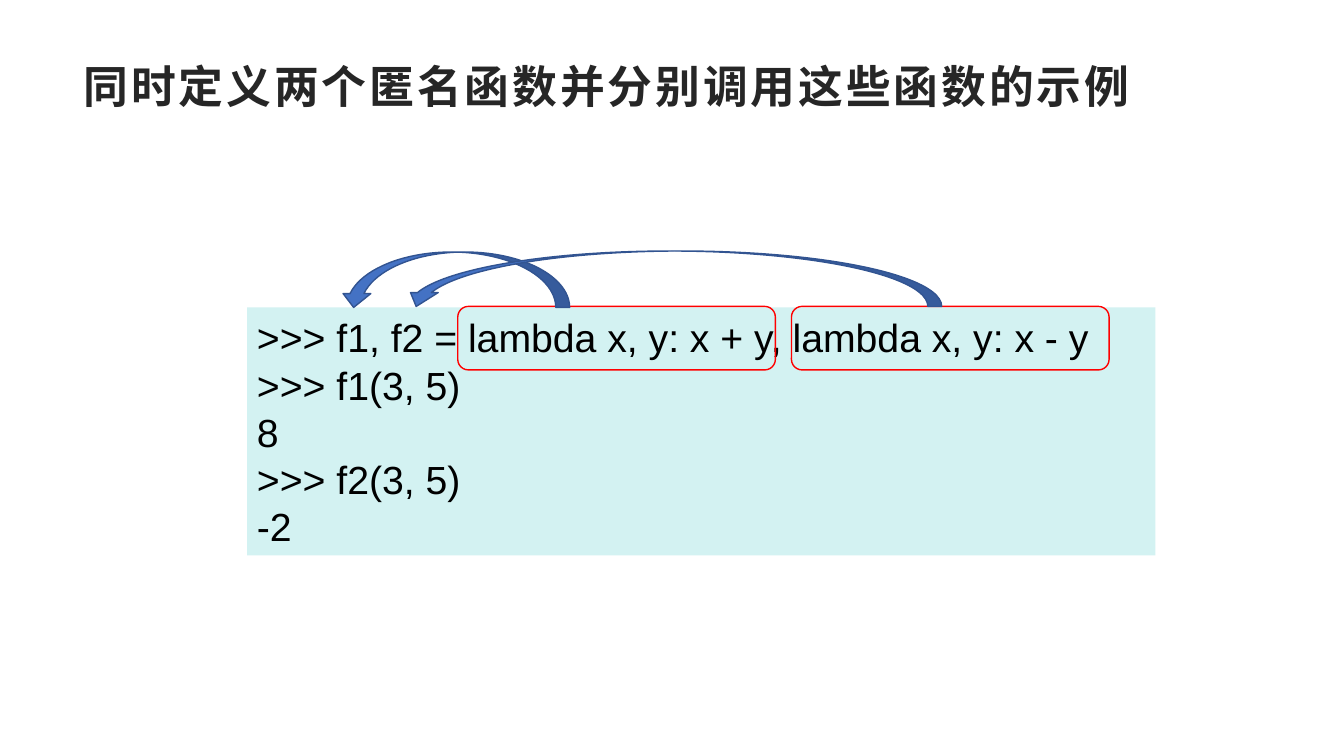
from pptx import Presentation
from pptx.dml.color import RGBColor
from pptx.enum.shapes import MSO_SHAPE
from pptx.enum.text import MSO_ANCHOR, MSO_AUTO_SIZE, PP_ALIGN
from pptx.util import Inches, Pt

TITLE = "同时定义两个匿名函数并分别调用这些函数的示例"
CODE = [
    ">>> f1, f2 = lambda x, y: x + y, lambda x, y: x - y",
    ">>> f1(3, 5)",
    "8",
    ">>> f2(3, 5)",
    "-2",
]
COLORS = {"title": "262626", "code": "000000", "panel": "D3F2F2",
          "frame": "FF0000", "arrow": "4472C4", "arrow_line": "325491"}
# One entry per lambda: left of its frame, then the box of its arrow
LAMBDAS = [
    (4.54, (3.37, 2.5, 2.28, 0.55)),
    (7.85, (3.99, 2.49, 5.35, 0.55)),
]
FRAME_TOP, FRAME_W, FRAME_H = 3.04, 3.15, 0.63


def rgb(name):
    return RGBColor.from_string(COLORS[name])


def add_box(s, kind, box, fill=None, line=None):
    sp = s.shapes.add_shape(kind, *map(Inches, box))
    sp.shadow.inherit = False
    if fill:
        sp.fill.solid()
        sp.fill.fore_color.rgb = rgb(fill)
    else:
        sp.fill.background()
    if line:
        sp.line.color.rgb = rgb(line)
        sp.line.width = Pt(1)
    else:
        sp.line.fill.background()
    return sp


def write(sp, lines, size, color, bold=False, tracking=None, spacing=None):
    tf = sp.text_frame
    tf.word_wrap = True
    tf.auto_size = MSO_AUTO_SIZE.NONE
    tf.vertical_anchor = MSO_ANCHOR.MIDDLE
    for i, text in enumerate(lines):
        p = tf.add_paragraph() if i else tf.paragraphs[0]
        p.alignment = PP_ALIGN.LEFT
        if spacing:
            p.line_spacing = Pt(spacing)
        r = p.add_run()
        r.text = text
        r.font.name = "Arial"
        r.font.size = Pt(size)
        r.font.bold = bold
        r.font.color.rgb = rgb(color)
        if tracking:
            r.font._element.set("spc", str(tracking * 100))


def main():
    prs = Presentation()
    prs.slide_width, prs.slide_height = Inches(13.33), Inches(7.5)
    s = prs.slides.add_slide(prs.slide_layouts[5])

    title = s.shapes.title
    title.left, title.top, title.width, title.height = map(
        Inches, (0.73, 0.48, 11.87, 0.74))
    write(title, [TITLE], 32, "title", bold=True, tracking=2)

    panel = add_box(s, MSO_SHAPE.RECTANGLE, (2.45, 3.05, 9.01, 2.46), fill="panel")
    write(panel, CODE, 28, "code", spacing=33.6)

    for left, arrow_box in LAMBDAS:
        add_box(s, MSO_SHAPE.ROUNDED_RECTANGLE,
                (left, FRAME_TOP, FRAME_W, FRAME_H), line="frame")
        arrow = add_box(s, MSO_SHAPE.CURVED_DOWN_ARROW, arrow_box,
                        fill="arrow", line="arrow_line")
        arrow._element.spPr.xfrm.set("flipH", "1")

    prs.save("out.pptx")


if __name__ == "__main__":
    main()
